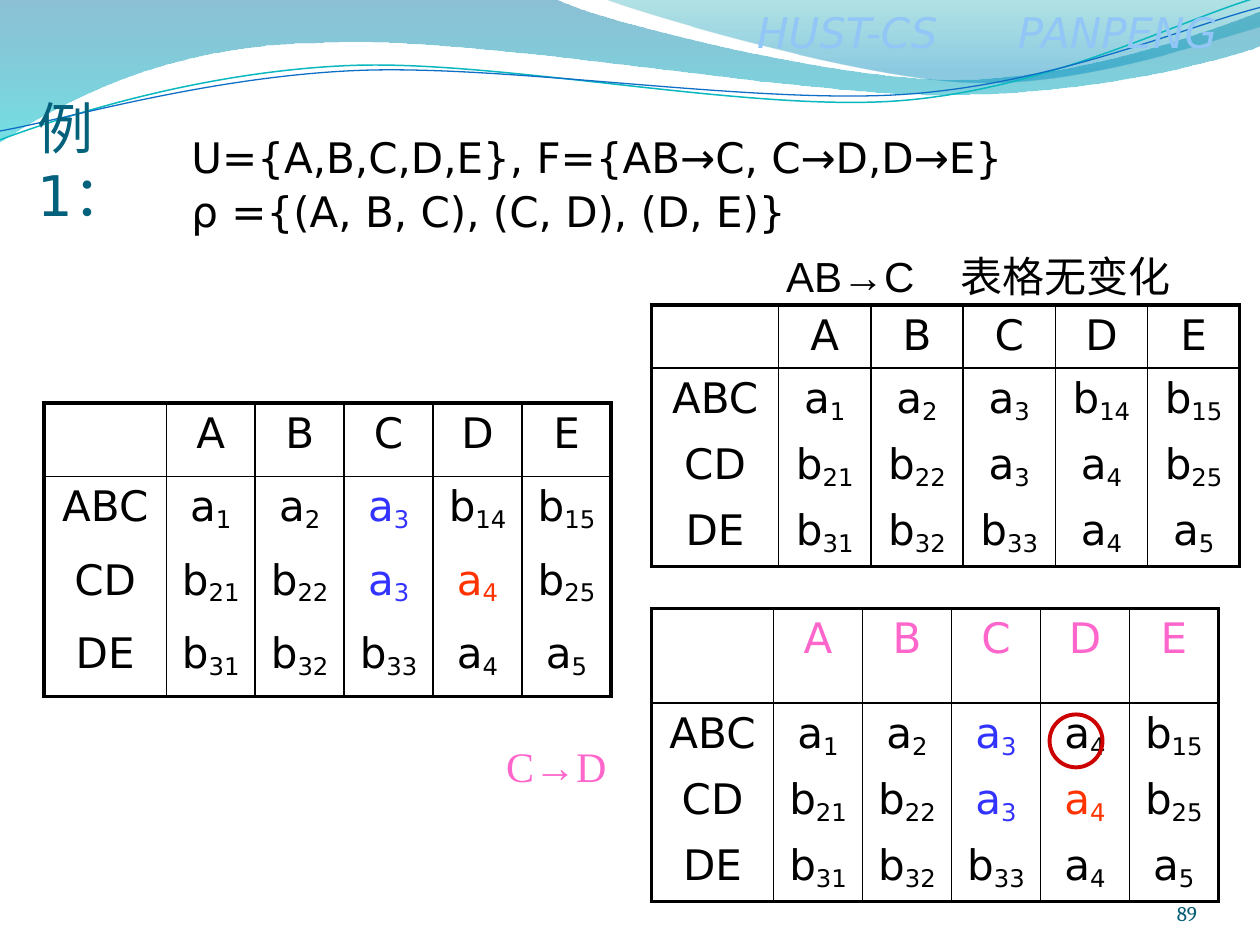
from dataclasses import dataclass
from math import cos, radians, sin

from lxml.etree import SubElement
from pptx import Presentation
from pptx.dml.color import RGBColor
from pptx.enum.shapes import MSO_SHAPE
from pptx.enum.text import MSO_ANCHOR, MSO_AUTO_SIZE, PP_ALIGN
from pptx.oxml.ns import qn
from pptx.util import Inches, Pt


@dataclass(frozen=True)
class Theme:
    sans: str = "DejaVu Sans"
    arial: str = "Arial"
    times: str = "Times New Roman"
    cambria: str = "Cambria"
    title_size: int = 32
    body_size: int = 24
    number_size: int = 12
    black: str = "000000"
    header: str = "91C6F7"
    title: str = "04617B"
    number: str = "045D75"
    blue: str = "3333FF"
    orange: str = "FF3300"
    pink: str = "FF66CC"
    ring: str = "CC0000"
    outer_line: float = 2.25
    inner_line: float = 1


THEME = Theme()
SPACE_BEFORE = Pt(THEME.body_size * 0.2)
STRAND_TILT = 2.7

# Each wave is a start point followed by line (1 point) or curve (3 points) steps.
BACK_WAVE = [
    [(0, -0.01)], [(4.4, -0.01)], [(4.76, 0.17), (6.64, 0.63), (7.58, 0.63)],
    [(8.53, 0.63), (9.58, 0.26), (10, 0.09)], [(10.01, 0.36)],
    [(9.83, 0.44), (8.7, 0.76), (7.46, 0.75)], [(6.22, 0.75), (3.82, 0.28), (2.57, 0.34)],
    [(1.29, 0.35), (0.46, 0.83), (-0.01, 1.13)], [(0, -0.01)],
]
FRONT_WAVE = [
    [(4.79, -0.01)], [(5.09, 0.11), (6.82, 0.62), (7.69, 0.65)],
    [(8.56, 0.69), (9.61, 0.32), (10, 0.21)], [(10, 0)], [(4.79, -0.01)],
]
TEAL_STRAND = [
    [(0, 1.11)], [(0.48, 0.93), (1.58, 0.57), (2.77, 0.52)],
    [(3.95, 0.47), (5.93, 0.89), (7.13, 0.8)], [(8.33, 0.71), (9.38, 0.15), (9.98, -0.02)],
]
BLUE_STRAND = [
    [(0, 1.04)], [(0.47, 0.96), (1.64, 0.61), (2.83, 0.56)],
    [(4.03, 0.51), (5.97, 0.83), (7.17, 0.75)], [(8.36, 0.67), (9.41, 0.21), (10, 0.06)],
]

INITIAL = [
    ["", "A", "B", "C", "D", "E"],
    ["ABC", "a1", "a2", "a3", "b14", "b15"],
    ["CD", "b21", "b22", "a3", "a4", "b25"],
    ["DE", "b31", "b32", "b33", "a4", "a5"],
]
C_TO_D = [INITIAL[0], ["ABC", "a1", "a2", "a3", "a4", "b15"], *INITIAL[2:]]
MATCHES = {(1, 3): THEME.blue, (2, 3): THEME.blue, (2, 4): THEME.orange}
PINK_HEADER = {(0, col): THEME.pink for col in range(1, 6)}


def add_outline(slide, steps, close):
    """Build the outline from its points, then join each group of three into a curve."""
    start, *rest = [(Inches(x), Inches(y)) for step in steps for x, y in step]
    builder = slide.shapes.build_freeform(*start)
    builder.add_line_segments(rest, close=close)
    outline = builder.convert_to_shape()
    outline.shadow.inherit = False
    segments = iter(outline._element.xpath(".//a:path/a:lnTo"))
    for step in steps[1:]:
        first, *others = [next(segments) for _ in step]
        if others:
            first.tag = qn("a:cubicBezTo")
            for segment in others:
                first.append(segment[0])
                segment.getparent().remove(segment)
    return outline


def add_wave(slide, steps, stops):
    """Add a filled wave; stops are (position, colour, opacity %) from top to bottom."""
    wave = add_outline(slide, steps, close=True)
    wave.line.fill.background()
    wave.fill.gradient()
    wave.fill.gradient_angle = 270
    for stop, (position, color, _) in zip(wave.fill.gradient_stops, stops):
        stop.position = position
        stop.color.rgb = RGBColor.from_string(color)
    for color, (_, _, opacity) in zip(wave._element.xpath(".//a:gs/a:srgbClr"), stops):
        SubElement(color, qn("a:alpha"), val=str(opacity * 1000))


def add_strand(slide, steps, center, color, width):
    """Add a thin wave line, laid level about its center and then tilted."""
    (cx, cy), c, s = center, cos(radians(STRAND_TILT)), sin(radians(STRAND_TILT))
    level = [[(cx + (x - cx) * c - (y - cy) * s, cy + (x - cx) * s + (y - cy) * c)
              for x, y in step] for step in steps]
    strand = add_outline(slide, level, close=False)
    strand.rotation = 360 - STRAND_TILT
    strand.fill.background()
    strand.line.color.rgb = RGBColor.from_string(color)
    strand.line.width = Pt(width)


def add_run(paragraph, text, color, font=THEME.sans, size=THEME.body_size):
    run = paragraph.add_run()
    run.text = text
    run.font.name = font
    run.font.size = Pt(size)
    run.font.color.rgb = RGBColor.from_string(color)
    return run


def add_text(slide, left, top, width, height, lines, color, font=THEME.sans,
             size=THEME.body_size, indent=0.1, spacing=None, align=PP_ALIGN.LEFT,
             wrap=True, italic=None, tab=None):
    """Add a text box; indent is its left margin and tab a stop measured from there."""
    box = slide.shapes.add_textbox(Inches(left), Inches(top), Inches(width), Inches(height))
    frame = box.text_frame
    frame.word_wrap = wrap
    frame.margin_left = Inches(indent)
    for i, line in enumerate(lines):
        paragraph = frame.add_paragraph() if i else frame.paragraphs[0]
        if tab:
            tabs = SubElement(paragraph._p.get_or_add_pPr(), qn("a:tabLst"))
            SubElement(tabs, qn("a:tab"), pos=str(Inches(tab)), algn="l")
        paragraph.alignment = align
        if spacing:
            paragraph.line_spacing = spacing
        if i:
            paragraph.space_before = SPACE_BEFORE
        add_run(paragraph, line, color, font, size).font.italic = italic
    return frame


def set_title(slide, text):
    title = slide.shapes.title
    slide.shapes._spTree.append(title._element)  # in front of the waves
    title.left, title.top = Inches(0.2), Inches(0.96)
    title.width, title.height = Inches(1.34), Inches(0.63)
    frame = title.text_frame
    frame.auto_size = MSO_AUTO_SIZE.NONE
    frame.vertical_anchor = MSO_ANCHOR.MIDDLE
    frame.paragraphs[0].alignment = PP_ALIGN.LEFT
    add_run(frame.paragraphs[0], text, THEME.title, size=THEME.title_size)


def set_borders(cell, widths):
    """Set left, right, top and bottom lines; a width of 0 means no line."""
    properties = cell._tc.get_or_add_tcPr()
    for i, (side, width) in enumerate(zip("LRTB", widths)):
        line = properties.makeelement(qn(f"a:ln{side}"), {"w": str(Pt(width))})
        properties.insert(i, line)
        fill = SubElement(line, qn("a:solidFill" if width else "a:noFill"))
        if width:
            SubElement(fill, qn("a:srgbClr"), val=THEME.black)


def add_tableau(slide, left, top, width, height, symbols, label_width, header_height, colors):
    """Add a chase table whose digits are subscripts; colors maps (row, column)."""
    last_row, last_col = len(symbols) - 1, len(symbols[0]) - 1
    table = slide.shapes.add_table(last_row + 1, last_col + 1, Inches(left), Inches(top),
                                   Inches(width), Inches(height)).table
    table.first_row = table.horz_banding = False
    for i, column in enumerate(table.columns):
        column.width = Inches((width - label_width) / last_col if i else label_width)
    for i, row in enumerate(table.rows):
        row.height = Inches((height - header_height) / last_row if i else header_height)
    outer, inner = THEME.outer_line, THEME.inner_line
    for r, row in enumerate(symbols):
        for c, symbol in enumerate(row):
            cell = table.cell(r, c)
            cell.fill.background()
            set_borders(cell, (inner if c else outer, outer if c == last_col else inner,
                               {0: outer, 1: inner}.get(r, 0),
                               {0: inner, last_row: outer}.get(r, 0)))
            paragraph = cell.text_frame.paragraphs[0]
            paragraph.alignment = PP_ALIGN.CENTER
            color = colors.get((r, c), THEME.black)
            letters = symbol.rstrip("0123456789")
            index = symbol[len(letters):]
            if letters:
                add_run(paragraph, letters, color)
            if index:
                add_run(paragraph, index, color).font._element.set("baseline", "-16000")


def add_ring(slide, left, top, diameter):
    ring = slide.shapes.add_shape(MSO_SHAPE.OVAL, Inches(left), Inches(top),
                                  Inches(diameter), Inches(diameter))
    ring.shadow.inherit = False
    ring.fill.background()
    ring.line.color.rgb = RGBColor.from_string(THEME.ring)
    ring.line.width = Pt(THEME.outer_line)


def main():
    deck = Presentation()
    deck.slide_width, deck.slide_height = Inches(10), Inches(7.5)
    slide = deck.slides.add_slide(deck.slide_layouts[5])
    add_wave(slide, BACK_WAVE, [(0, "0074A1", 45), (1, "00C6CF", 55)])
    add_wave(slide, FRONT_WAVE, [(0, "00A1A9", 30), (0.8, "008BBF", 45)])
    add_strand(slide, TEAL_STRAND, (4.99, 0.58), "0AB8BF", 0.85)
    add_strand(slide, BLUE_STRAND, (5, 0.59), "0F6FC6", 0.75)
    add_text(slide, 5.91, 0, 4.05, 0.5, ["HUST-CS\tPANPENG"], THEME.header,
             wrap=False, italic=True, tab=2.07)
    set_title(slide, "例1：")
    add_text(slide, 1.22, 1.04, 8.5, 0.92,
             ["U={A,B,C,D,E}, F={AB→C, C→D,D→E}", "ρ ={(A, B, C), (C, D), (D, E)}"],
             THEME.black, indent=0.3, spacing=0.9)
    add_tableau(slide, 0.35, 3.2, 4.5, 2.33, INITIAL, 0.97, 0.58, MATCHES)
    add_text(slide, 5.94, 1.86, 3.7, 0.58, ["AB→C\t表格无变化"], THEME.black,
             THEME.arial, indent=0.3, spacing=1.2, tab=1.38)
    add_tableau(slide, 5.17, 2.42, 4.67, 2, INITIAL, 1.01, 0.5, {})
    add_text(slide, 3.08, 5.75, 2.17, 0.58, ["C→D"], THEME.pink, THEME.times,
             indent=0.6, spacing=1.2, align=PP_ALIGN.CENTER)
    add_tableau(slide, 5.17, 4.83, 4.5, 2.25, C_TO_D, 0.97, 0.75, MATCHES | PINK_HEADER)
    add_ring(slide, 8.33, 5.67, 0.42)
    number = add_text(slide, 8.67, 6.95, 0.83, 0.4, ["89"], THEME.number, THEME.cambria,
                      THEME.number_size, indent=0, align=PP_ALIGN.RIGHT)
    number.margin_right = number.margin_top = number.margin_bottom = 0
    number.vertical_anchor = MSO_ANCHOR.BOTTOM
    deck.save("out.pptx")


if __name__ == "__main__":
    main()
